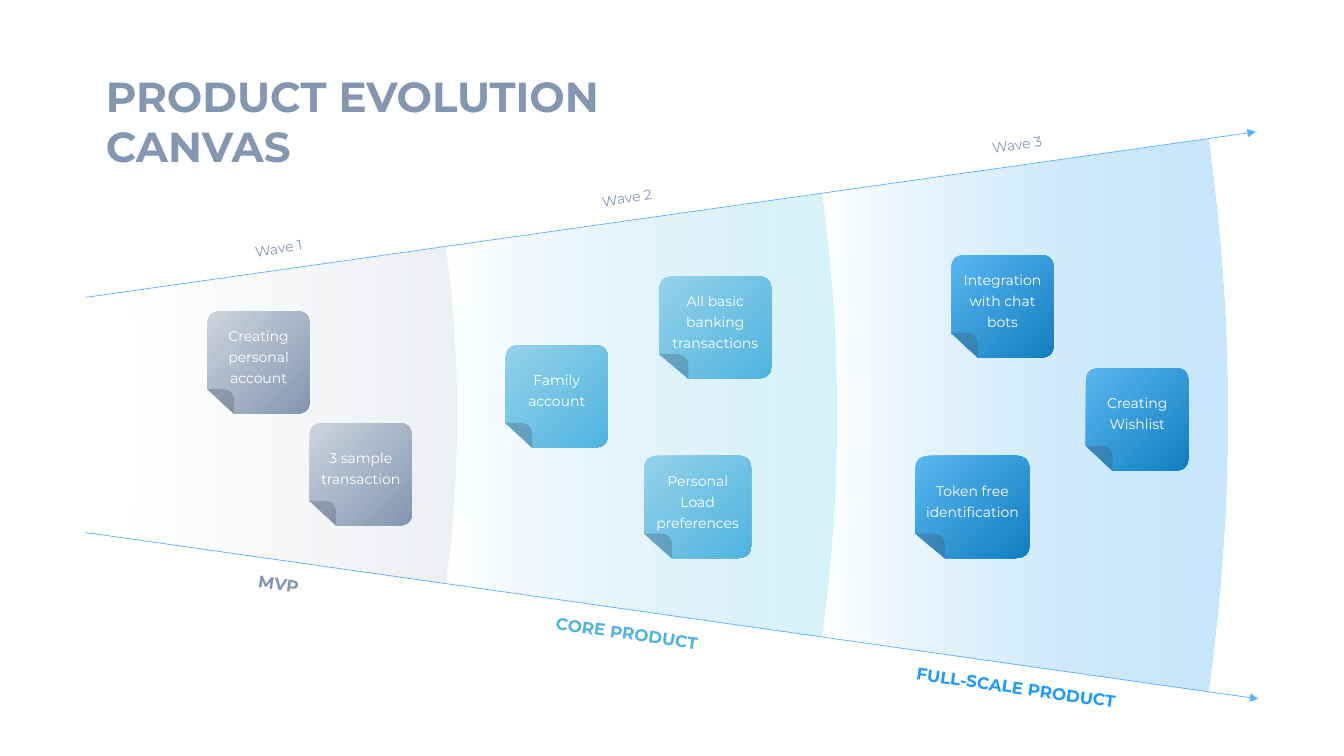
import pptx
import pptx.dml.color
import pptx.enum.shapes
import pptx.enum.text
import pptx.oxml.ns
import pptx.util
from lxml import etree

RGB = pptx.dml.color.RGBColor
WHITE = RGB(0xFF, 0xFF, 0xFF)
SLATE = RGB(0x84, 0x97, 0xB0)
DARK_SLATE = RGB(0x44, 0x54, 0x6A)
PALE_SLATE = RGB(0xCC, 0xD4, 0xDE)
MIST = RGB(0xD6, 0xDC, 0xE5)
AQUA = RGB(0x4F, 0xB4, 0xDE)
PALE_AQUA = RGB(0x95, 0xD2, 0xEB)
BLUE = RGB(0x22, 0x99, 0xFD)
DEEP_BLUE = RGB(0x12, 0x7E, 0xC0)
SKY = RGB(0x5A, 0xB7, 0xF0)
LINE_BLUE = RGB(0x59, 0xB2, 0xFE)

COLUMNS, ROWS = 160, 90
UPPER_EDGE = (10.2, 35.4, 149.5, 15.7)
LOWER_EDGE = (10.2, 63.4, 149.8, 83.2)
NOTE_HEIGHT = 12.2
FOLD_WIDTH, FOLD_TOP = 0.26, 0.76  # shares of a note
CORNER, CORNER_PULL = 0.14, 0.04

# column of each arc and how far its control points bulge to the right
ARCS = [(15.5, 1.3), (53.04, 1.8), (97.74, 2.4), (143.82, 3.1)]
# start colour, end colour, end opacity
BANDS = [
    (MIST, MIST, 45),
    (RGB(0xB9, 0xE1, 0xF2), RGB(0xD8, 0xF3, 0xFB), 100),
    (RGB(0x91, 0xCF, 0xF5), RGB(0xC8, 0xE7, 0xFA), 100),
]
# text, left, top, width, height, rotation, size, colour, bold
LABELS = [
    ("Wave 1", 29.04, 27.96, 8.28, 3.24, -8.8, 10, SLATE, False),
    ("Wave 2", 70.32, 21.96, 8.64, 3.24, -8.8, 10, SLATE, False),
    ("Wave 3", 116.76, 15.6, 8.64, 3.24, -8.8, 10, SLATE, False),
    ("MVP", 29.52, 67.68, 7.32, 3.6, 8.1, 12, SLATE, True),
    ("CORE PRODUCT", 64.8, 73.56, 19.68, 3.6, 8.1, 12, AQUA, True),
    ("FULL-SCALE PRODUCT", 107.64, 80.04, 26.64, 3.6, 8.1, 12, BLUE, True),
]
# text, left, top, width, start colour, end colour
NOTES = [
    ("Creating personal account", 24.68, 37.05, 12.2, PALE_SLATE, SLATE),
    ("3 sample transaction", 36.85, 50.36, 12.2, PALE_SLATE, SLATE),
    ("All basic banking transactions", 78.48, 32.88, 13.35, PALE_AQUA, AQUA),
    ("Family account", 60.18, 41.08, 12.2, PALE_AQUA, AQUA),
    ("Personal Load preferences", 76.68, 54.25, 12.75, PALE_AQUA, AQUA),
    ("Integration with chat bots", 113.25, 30.37, 12.2, SKY, DEEP_BLUE),
    ("Creating Wishlist", 129.28, 43.82, 12.2, SKY, DEEP_BLUE),
    ("Token free identification", 108.97, 54.25, 13.58, SKY, DEEP_BLUE),
]


def curve(start, first, second, end, steps=16):
    """Return points along a cubic Bezier curve, both ends included."""
    points = []
    for step in range(steps + 1):
        t = step / steps
        weights = ((1 - t) ** 3, 3 * t * (1 - t) ** 2, 3 * t * t * (1 - t), t ** 3)
        points.append(tuple(
            sum(weight * value for weight, value in zip(weights, values))
            for values in zip(start, first, second, end)))
    return points


def row_on(edge, column):
    """Return the row where a sloping edge crosses a column."""
    left, top, right, bottom = edge
    return top + (bottom - top) * (column - left) / (right - left)


def arc(column, bulge):
    """Return the curved boundary at a column, from upper to lower edge."""
    top, bottom = row_on(UPPER_EDGE, column), row_on(LOWER_EDGE, column)
    third = (bottom - top) / 3
    return curve((column, top), (column + bulge, top + third),
                 (column + bulge, bottom - third), (column, bottom))


def note_outline():
    """Return a note with three round corners and one cut, in shares of it."""
    corner = curve((0, CORNER), (0, CORNER_PULL), (CORNER_PULL, 0), (CORNER, 0))
    top_right = [(1 - x, y) for x, y in reversed(corner)]
    bottom_right = [(1 - x, 1 - y) for x, y in corner]
    return corner + top_right + bottom_right + [(FOLD_WIDTH, 1), (0, FOLD_TOP)]


def fold_outline():
    """Return the turned-up corner, in shares of the note."""
    return [(FOLD_WIDTH, 1)] + curve(
        (FOLD_WIDTH, 0.89), (FOLD_WIDTH, 0.79), (0.22, FOLD_TOP), (0.12, FOLD_TOP)
    ) + [(0, FOLD_TOP)]


class Canvas:
    """Holds the text style and the slide; lengths are grid columns and rows."""

    font_name = "Montserrat"

    def __init__(self, deck):
        self.column = deck.slide_width / COLUMNS
        self.row = deck.slide_height / ROWS
        self.page = deck.slides.add_slide(deck.slide_layouts[5])
        self.shapes = self.page.shapes

    def place(self, x, y):
        return round(x * self.column), round(y * self.row)

    def add_span(self, para, text, size, color, bold=False):
        span = para.add_run()
        span.text = text
        span.font.name = self.font_name
        span.font.size = pptx.util.Pt(size)
        span.font.bold = bold
        span.font.color.rgb = color

    def set_opacity(self, shape, percents):
        """Give each fill colour of the shape its opacity, in order."""
        colors = shape.element.spPr.iter(pptx.oxml.ns.qn("a:srgbClr"))
        for color, percent in zip(list(colors), percents):
            alpha = etree.SubElement(color, pptx.oxml.ns.qn("a:alpha"))
            alpha.set("val", str(percent * 1000))

    def fit_box(self, frame, margins):
        frame.margin_left = frame.margin_right = pptx.util.Inches(margins[0])
        frame.margin_top = frame.margin_bottom = pptx.util.Inches(margins[1])
        frame.word_wrap = False
        frame.auto_size = pptx.enum.text.MSO_AUTO_SIZE.SHAPE_TO_FIT_TEXT

    def title(self, lines, left, top, width, height):
        box = self.shapes.title
        box.left, box.top = self.place(left, top)
        box.width, box.height = self.place(width, height)
        frame = box.text_frame
        self.fit_box(frame, (0.2, 0.1))
        frame.vertical_anchor = pptx.enum.text.MSO_ANCHOR.MIDDLE
        for index, line in enumerate(lines):
            para = frame.add_paragraph() if index else frame.paragraphs[0]
            para.alignment = pptx.enum.text.PP_ALIGN.LEFT
            self.add_span(para, line, 30, SLATE, True)

    def outline(self, points):
        start, *rest = [self.place(x, y) for x, y in points]
        builder = self.shapes.build_freeform(*start, scale=1.0)
        builder.add_line_segments(rest, close=True)
        shape = builder.convert_to_shape()
        shape.shadow.inherit = False
        shape.line.fill.background()
        return shape

    def shade(self, shape, colors, angle):
        shape.fill.gradient()
        shape.fill.gradient_angle = angle
        for stop, color in zip(shape.fill.gradient_stops, colors):
            stop.color.rgb = color

    def band(self, left_arc, right_arc, start, end, opacity):
        shape = self.outline(arc(*left_arc) + arc(*right_arc)[::-1])
        self.shade(shape, (start, end), 0)
        self.set_opacity(shape, (0, opacity))

    def label(self, text, left, top, width, height, rotation, size, color, bold):
        box = self.shapes.add_textbox(*self.place(left, top), *self.place(width, height))
        box.rotation = rotation
        self.fit_box(box.text_frame, (0.1, 0.05))
        para = box.text_frame.paragraphs[0]
        para.alignment = pptx.enum.text.PP_ALIGN.CENTER
        self.add_span(para, text, size, color, bold)

    def arrow(self, left, top, right, bottom):
        line = self.shapes.add_connector(
            pptx.enum.shapes.MSO_CONNECTOR.STRAIGHT,
            *self.place(left, top), *self.place(right, bottom))
        line.line.color.rgb = LINE_BLUE
        line.line.width = pptx.util.Pt(0.5)
        properties = line.element.spPr
        stroke = properties.find(pptx.oxml.ns.qn("a:ln"))
        etree.SubElement(stroke, pptx.oxml.ns.qn("a:tailEnd")).set("type", "triangle")
        etree.SubElement(properties, pptx.oxml.ns.qn("a:effectLst"))

    def note(self, text, left, top, width, start, end):
        sheet, fold = [
            self.outline([(left + x * width, top + y * NOTE_HEIGHT) for x, y in points])
            for points in (note_outline(), fold_outline())]
        self.shade(sheet, (start, end), 315)
        fold.fill.solid()
        fold.fill.fore_color.rgb = DARK_SLATE
        self.set_opacity(fold, (30,))
        frame = sheet.text_frame
        frame.word_wrap = True
        frame.vertical_anchor = pptx.enum.text.MSO_ANCHOR.MIDDLE
        frame.margin_left = frame.margin_right = pptx.util.Inches(0.1)
        frame.margin_top, frame.margin_bottom = 0, pptx.util.Inches(0.15)
        para = frame.paragraphs[0]
        para.alignment = pptx.enum.text.PP_ALIGN.CENTER
        para.line_spacing = pptx.util.Pt(15)
        self.add_span(para, text, 10, WHITE)
        self.shapes.add_group_shape([sheet, fold])


def main():
    deck = pptx.Presentation()
    deck.slide_width = pptx.util.Inches(13.33)
    deck.slide_height = pptx.util.Inches(7.5)
    canvas = Canvas(deck)
    canvas.title(["PRODUCT EVOLUTION", "CANVAS"], 10.2, 7.08, 65.88, 14.52)
    for left_arc, right_arc, style in zip(ARCS, ARCS[1:], BANDS):
        canvas.band(left_arc, right_arc, *style)
    for label in LABELS:
        canvas.label(*label)
    for edge in (UPPER_EDGE, LOWER_EDGE):
        canvas.arrow(*edge)
    for note in NOTES:
        canvas.note(*note)
    deck.save("out.pptx")


if __name__ == "__main__":
    main()
